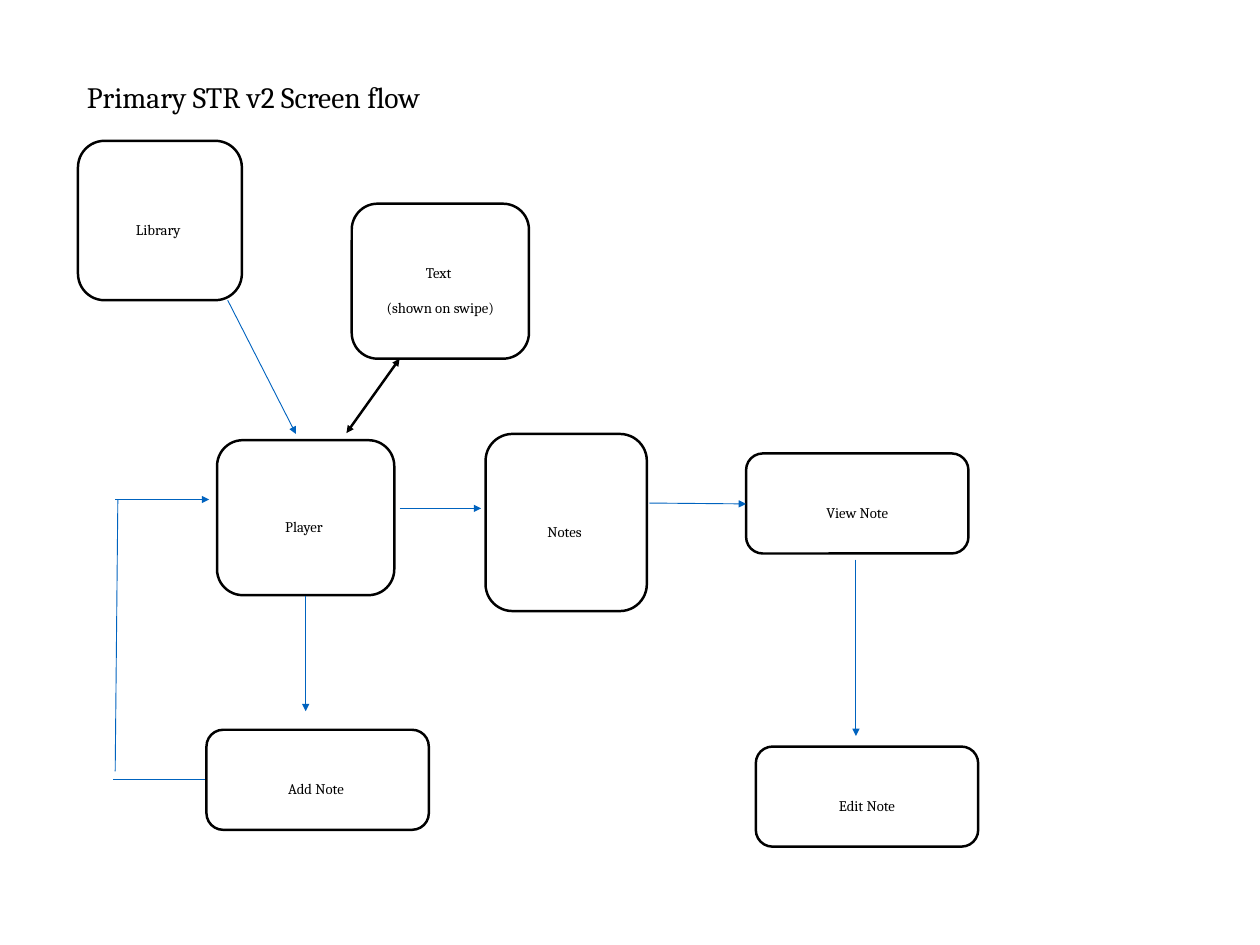
from pptx import Presentation
from pptx.dml.color import RGBColor
from pptx.enum.shapes import MSO_CONNECTOR as Connector, MSO_SHAPE as Preset
from pptx.enum.text import MSO_ANCHOR as Anchor, MSO_AUTO_SIZE as AutoSize, PP_ALIGN as Align
from pptx.oxml.ns import qn
from pptx.util import Inches, Pt
from lxml.etree import SubElement

BLACK = RGBColor(0x00, 0x00, 0x00)
WHITE = RGBColor(0xFF, 0xFF, 0xFF)
BLUE = RGBColor(0x00, 0x63, 0xBF)

FONT = {"name": "Cambria", "bold": False}
NOTE_SIZE = (2.51, 1.13)

SCREENS = [
    (["Library "], 0.88, 1.59, 1.85, 1.8),
    (["Player "], 2.45, 4.97, 2, 1.75),
    (["Notes "], 5.48, 4.9, 1.82, 2),
    (["Add Note "], 2.33, 8.24, *NOTE_SIZE),
    (["View Note"], 8.42, 5.12, *NOTE_SIZE),
    (["Edit Note"], 8.53, 8.43, *NOTE_SIZE),
    (["Text ", "(shown on swipe)"], 3.97, 2.3, 2, 1.75),
]

TAIL = ("tailEnd",)
BOTH = ("headEnd", "tailEnd")
FLOWS = [
    ((2.57, 3.39), (3.34, 4.9), TAIL, BLUE, 0.75),
    ((3.45, 6.73), (3.45, 8.03), TAIL, BLUE, 0.75),
    ((9.66, 6.32), (9.66, 8.31), TAIL, BLUE, 0.75),
    ((7.33, 5.68), (8.42, 5.69), TAIL, BLUE, 0.75),
    ((4.51, 5.74), (5.43, 5.74), TAIL, BLUE, 0.75),
    ((2.31, 8.8), (1.28, 8.8), (), BLUE, 0.75),
    ((1.3, 8.71), (1.33, 5.64), (), BLUE, 0.75),
    ((1.3, 5.64), (2.36, 5.64), TAIL, BLUE, 0.75),
    ((4.51, 4.05), (3.91, 4.89), BOTH, BLACK, 2),
]


def apply_format(target, values):
    for name, value in values.items():
        setattr(target, name, value)


def write_lines(text_frame, lines, size, alignment):
    text_frame.text = "\n".join(lines)
    for paragraph in text_frame.paragraphs:
        apply_format(paragraph, {"alignment": alignment, "line_spacing": 2.0})
        for run in paragraph.runs:
            apply_format(run.font, {**FONT, "size": Pt(size)})
            run.font.color.rgb = BLACK


def format_line(line, color, width):
    line.color.rgb = color
    line.width = Pt(width)


def add_title(slide, text):
    title = slide.shapes.title
    apply_format(title, {
        "left": Inches(0.38), "top": Inches(0.44),
        "width": Inches(6.5), "height": Inches(1.02),
    })
    apply_format(title.text_frame, {
        "word_wrap": True, "auto_size": AutoSize.NONE,
        "vertical_anchor": Anchor.TOP, "margin_left": Inches(0.6),
    })
    write_lines(title.text_frame, [text], 24, Align.LEFT)


def add_screen(slide, lines, left, top, width, height):
    shape = slide.shapes.add_shape(
        Preset.ROUNDED_RECTANGLE,
        Inches(left), Inches(top), Inches(width), Inches(height))
    shape.shadow.inherit = False
    shape.fill.solid()
    shape.fill.fore_color.rgb = WHITE
    format_line(shape.line, BLACK, 2)
    apply_format(shape.text_frame, {"word_wrap": True, "vertical_anchor": Anchor.MIDDLE})
    write_lines(shape.text_frame, lines, 12, Align.CENTER)


def add_flow(slide, start, end, arrowheads, color, width):
    points = [Inches(value) for value in (*start, *end)]
    connector = slide.shapes.add_connector(Connector.STRAIGHT, *points)
    format_line(connector.line, color, width)
    properties = connector._element.spPr
    line_element = properties.find(qn("a:ln"))
    for arrowhead in arrowheads:
        SubElement(line_element, qn(f"a:{arrowhead}"), type="triangle")
    SubElement(properties, qn("a:effectLst"))


def main():
    presentation = Presentation()
    apply_format(presentation, {"slide_width": Inches(14.22), "slide_height": Inches(10.67)})
    slide = presentation.slides.add_slide(presentation.slide_layouts.get_by_name("Title Only"))
    add_title(slide, "Primary STR v2 Screen flow")
    for screen in SCREENS:
        add_screen(slide, *screen)
    for flow in FLOWS:
        add_flow(slide, *flow)
    presentation.save("out.pptx")


if __name__ == "__main__":
    main()
